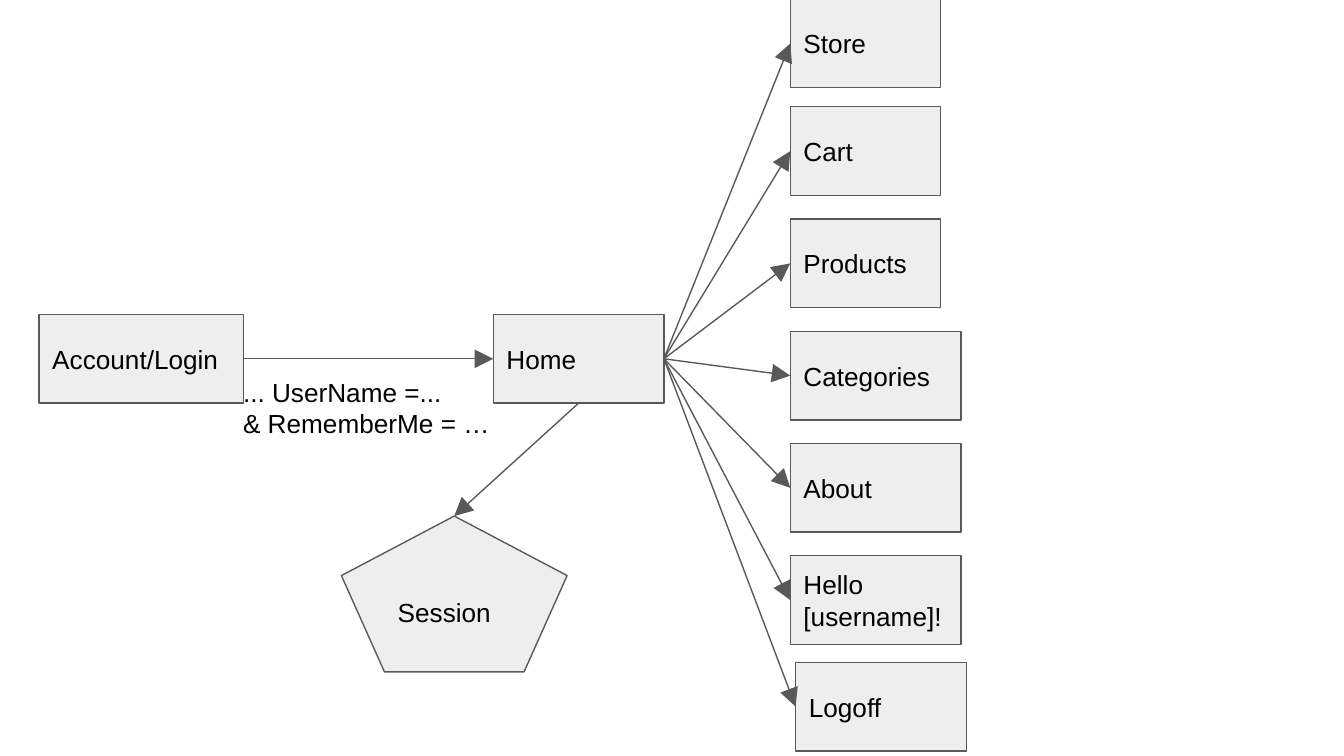
"""Draw the page flow from login through home to the store pages."""
from dataclasses import dataclass

from lxml import etree
from pptx import Presentation
from pptx.dml.color import RGBColor
from pptx.enum import shapes, text
from pptx.oxml import ns
from pptx.shapes.autoshape import Shape
from pptx.slide import Slide
from pptx.util import Inches, Pt

WIDTH = 10
HEIGHT = WIDTH * 9 / 16
FILL = RGBColor(0xEE, 0xEE, 0xEE)
EDGE = RGBColor(0x59, 0x59, 0x59)
INK = RGBColor(0, 0, 0)
EDGE_WIDTH = Pt(0.75)
BOX_HEIGHT = 0.66
NARROW, WIDE = 1.12, 1.27
FLOW_TOP = 2.34
PAGE_LEFT = 5.88
PAGE_TOP, PAGE_PITCH = -0.04, 3.34 / 4
TOP, LEFT, BOTTOM, RIGHT = range(4)


@dataclass(frozen=True)
class Node:
    label: str
    left: float
    top: float
    width: float
    height: float = BOX_HEIGHT
    outline: shapes.MSO_SHAPE = shapes.MSO_SHAPE.RECTANGLE


@dataclass(frozen=True)
class Page:
    label: str
    row: float
    width: float = WIDE
    indent: float = 0

    def node(self) -> Node:
        """Place the page in the right-hand column."""
        return Node(self.label, PAGE_LEFT + self.indent,
                    PAGE_TOP + self.row * PAGE_PITCH, self.width)


LOGIN = Node("Account/Login", 0.29, FLOW_TOP, 1.52)
HOME = Node("Home", 3.67, FLOW_TOP, WIDE)
SESSION = Node("Session", 2.54, 3.84, 1.68, 1.16, shapes.MSO_SHAPE.REGULAR_PENTAGON)
PAGES = (
    Page("Store", 0.04, NARROW),
    Page("Cart", 1, NARROW),
    Page("Products", 2, NARROW),
    Page("Categories", 3),
    Page("About", 4),
    Page("Hello [username]!", 5),
    Page("Logoff", 5.95, indent=0.04),
)


def write(holder: Shape, *lines: str, size: float = 14, color: RGBColor = INK,
          anchor: text.MSO_ANCHOR = text.MSO_ANCHOR.MIDDLE) -> None:
    """Fill a shape with left-aligned lines of text."""
    frame = holder.text_frame
    frame.word_wrap = True
    frame.vertical_anchor = anchor
    frame.margin_left = frame.margin_right = Inches(0.1)
    frame.margin_top = frame.margin_bottom = Inches(0.1)
    frame.text = "\n".join(lines)
    for paragraph in frame.paragraphs:
        paragraph.alignment = text.PP_ALIGN.LEFT
        font = paragraph.runs[0].font
        font.name, font.size, font.color.rgb = "Arial", Pt(size), color


def draw_node(slide: Slide, node: Node) -> Shape:
    """Draw one labelled node."""
    shape = slide.shapes.add_shape(
        node.outline, Inches(node.left), Inches(node.top),
        Inches(node.width), Inches(node.height))
    shape.shadow.inherit = False
    shape.fill.solid()
    shape.fill.fore_color.rgb = FILL
    shape.line.color.rgb = EDGE
    shape.line.width = EDGE_WIDTH
    write(shape, node.label)
    return shape


def draw_arrow(slide: Slide, source: Shape, source_side: int,
               target: Shape, target_side: int) -> None:
    """Join two nodes with a large-headed arrow."""
    arrow = slide.shapes.add_connector(shapes.MSO_CONNECTOR.STRAIGHT, 0, 0, 0, 0)
    arrow.begin_connect(source, source_side)
    arrow.end_connect(target, target_side)
    arrow.line.color.rgb = EDGE
    arrow.line.width = EDGE_WIDTH
    outline = arrow._element.spPr.find(ns.qn("a:ln"))
    etree.SubElement(outline, ns.qn("a:tailEnd"), type="triangle", w="lg", len="lg")
    etree.SubElement(arrow._element.spPr, ns.qn("a:effectLst"))


def build() -> None:
    """Build and save the slide."""
    deck = Presentation()
    deck.slide_width, deck.slide_height = Inches(WIDTH), Inches(HEIGHT)
    slide = deck.slides.add_slide(deck.slide_layouts[6])

    login, home, session = (draw_node(slide, node) for node in (LOGIN, HOME, SESSION))
    draw_arrow(slide, login, RIGHT, home, LEFT)
    query = slide.shapes.add_textbox(Inches(1.71), Inches(2.7), Inches(2.15), Inches(0.84))
    write(query, "... UserName =...", "& RememberMe = …", anchor=text.MSO_ANCHOR.TOP)

    for page in PAGES:
        draw_arrow(slide, home, RIGHT, draw_node(slide, page.node()), LEFT)
    draw_arrow(slide, home, BOTTOM, session, TOP)
    deck.save("out.pptx")


build()
